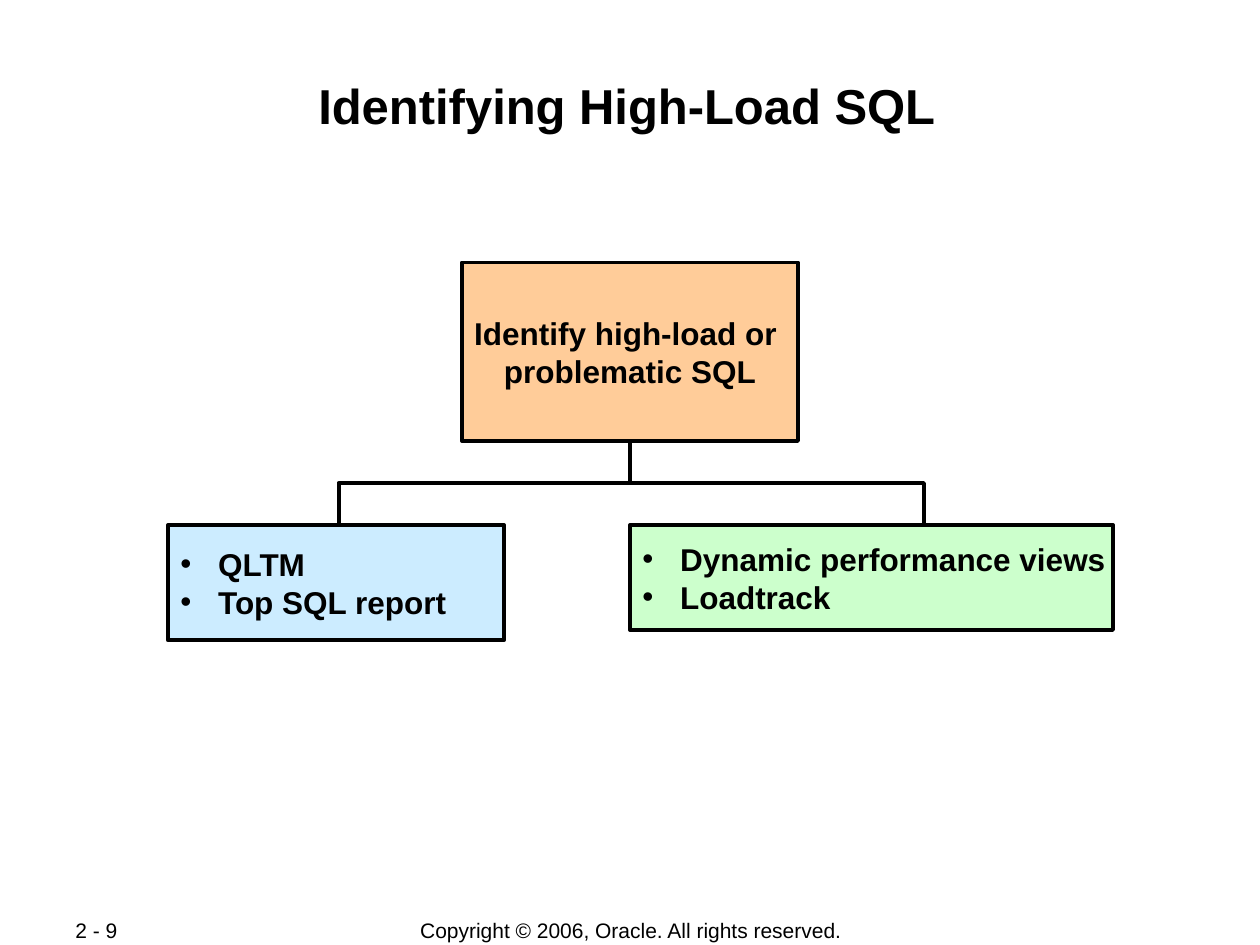
from dataclasses import dataclass

from lxml import etree
from pptx import Presentation
from pptx.dml.color import RGBColor
from pptx.enum.shapes import MSO_CONNECTOR, MSO_SHAPE
from pptx.enum.text import MSO_ANCHOR, PP_ALIGN
from pptx.oxml.ns import qn
from pptx.util import Emu, Inches, Pt

LEFT, CENTER = PP_ALIGN.LEFT, PP_ALIGN.CENTER
TOP, MIDDLE = MSO_ANCHOR.TOP, MSO_ANCHOR.MIDDLE
RECTANGLE, STRAIGHT = MSO_SHAPE.RECTANGLE, MSO_CONNECTOR.STRAIGHT

COLORS = {"ink": "000000", "problem": "FFCC99",
          "advisor": "CCECFF", "views": "CCFFCC"}
FONT = "Arial"
LINE_WIDTH = Pt(2.25)
HANGING_INDENT = Inches(0.23)
SLIDE_COLUMNS, SLIDE_ROWS = 120, 90
CELL = Inches(10) // SLIDE_COLUMNS


@dataclass(frozen=True)
class Area:
    """A rectangle in grid columns and rows."""
    column: float
    row: float
    columns: float
    rows: float

    def lengths(self) -> list[Emu]:
        return [grid(n) for n in (self.column, self.row, self.columns, self.rows)]


@dataclass(frozen=True)
class Label:
    area: Area
    text: str
    size: int
    bold: bool = False
    align: PP_ALIGN = CENTER
    anchor: MSO_ANCHOR = MIDDLE


@dataclass(frozen=True)
class Node:
    area: Area
    color: str
    lines: tuple[str, ...]
    bulleted: bool = True


LABELS = (
    Label(Area(6, 87.36, 13, 2.4), "2 - 9", 12, align=LEFT),
    Label(Area(33.1, 87.36, 54, 2.4),
          "Copyright © 2006, Oracle. All rights reserved.", 12),
    Label(Area(11.7, 7.2, 96, 11.5), "Identifying High-Load SQL", 28,
          bold=True, anchor=TOP),
)
NODES = (
    Node(Area(44, 25, 32, 17), "problem",
         ("Identify high-load or ", "problematic SQL"), bulleted=False),
    Node(Area(60, 50, 46, 10), "views",
         (" Dynamic performance views", " Loadtrack")),
    Node(Area(16, 50, 32, 11), "advisor", (" QLTM", " Top SQL report")),
)
TRUNK = ((60, 42), (60, 46))
BRANCHES = ((32.25, 50), (32.25, 46), (88, 46), (88, 50))


def grid(count: float) -> Emu:
    return Emu(round(count * CELL))


def rgb(name: str) -> RGBColor:
    return RGBColor.from_string(COLORS[name])


def apply(target, values: dict) -> None:
    for name, value in values.items():
        setattr(target, name, value)


def set_font(font, size: int, bold: bool) -> None:
    apply(font, {"name": FONT, "size": Pt(size), "bold": bold})
    font.color.rgb = rgb("ink")


def set_line(line) -> None:
    line.color.rgb = rgb("ink")
    line.width = LINE_WIDTH


def add_bullet(paragraph) -> None:
    properties = paragraph._p.get_or_add_pPr()
    indents = {"marL": HANGING_INDENT, "indent": -HANGING_INDENT}
    for name, value in indents.items():
        properties.set(name, str(int(value)))
    etree.SubElement(properties, qn("a:buFont")).set("typeface", FONT)
    etree.SubElement(properties, qn("a:buChar")).set("char", "•")


def add_label(slide, label: Label) -> None:
    frame = slide.shapes.add_textbox(*label.area.lengths()).text_frame
    apply(frame, {"word_wrap": True, "vertical_anchor": label.anchor,
                  "margin_top": 0, "margin_bottom": 0})
    paragraph = frame.paragraphs[0]
    apply(paragraph, {"text": label.text, "alignment": label.align})
    set_font(paragraph.runs[0].font, label.size, label.bold)


def add_node(slide, node: Node) -> None:
    box = slide.shapes.add_shape(RECTANGLE, *node.area.lengths())
    box.shadow.inherit = False
    box.fill.solid()
    box.fill.fore_color.rgb = rgb(node.color)
    set_line(box.line)
    frame = box.text_frame
    apply(frame, {"word_wrap": node.bulleted, "vertical_anchor": MIDDLE,
                  "margin_left": Inches(0.1),
                  "margin_right": 0 if node.bulleted else Inches(0.1)})
    for index, text in enumerate(node.lines):
        paragraph = frame.add_paragraph() if index else frame.paragraphs[0]
        apply(paragraph, {"text": text,
                          "alignment": LEFT if node.bulleted else CENTER})
        if node.bulleted:
            add_bullet(paragraph)
        set_font(paragraph.runs[0].font, 18, True)


def add_trunk(slide) -> None:
    ends = [grid(count) for point in TRUNK for count in point]
    trunk = slide.shapes.add_connector(STRAIGHT, *ends)
    set_line(trunk.line)
    etree.SubElement(trunk._element.spPr, qn("a:effectLst"))


def add_branches(slide) -> None:
    start, *corners = [(grid(x), grid(y)) for x, y in BRANCHES]
    builder = slide.shapes.build_freeform(*start)
    builder.add_line_segments(corners, close=False)
    branches = builder.convert_to_shape()
    branches.shadow.inherit = False
    branches.fill.background()
    set_line(branches.line)


def main() -> None:
    presentation = Presentation()
    apply(presentation, {"slide_width": grid(SLIDE_COLUMNS),
                         "slide_height": grid(SLIDE_ROWS)})
    slide = presentation.slides.add_slide(presentation.slide_layouts[6])
    for label in LABELS:
        add_label(slide, label)
    add_trunk(slide)
    for node in NODES:
        add_node(slide, node)
    add_branches(slide)
    presentation.save("out.pptx")


if __name__ == "__main__":
    main()
